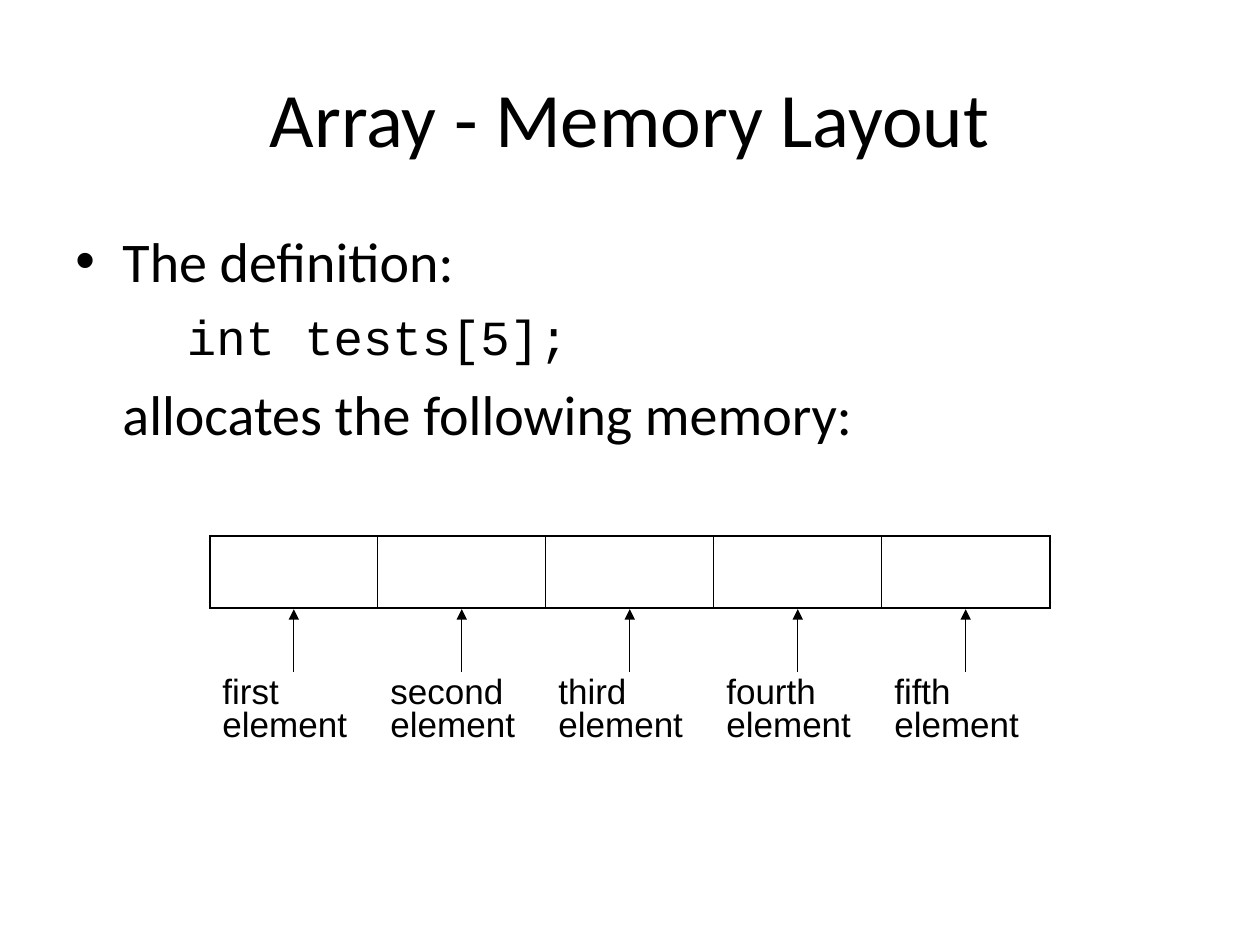
"""Build a slide that shows the memory layout of an array."""
from dataclasses import dataclass

import lxml.etree
import pptx
import pptx.dml.color
import pptx.enum.shapes
import pptx.enum.text
import pptx.oxml.ns
import pptx.slide
import pptx.table
import pptx.text.text
import pptx.util

Cm = pptx.util.Cm
Pt = pptx.util.Pt
Tag = pptx.oxml.ns.qn


@dataclass(frozen=True)
class Theme:
    ink: str = "000000"
    sans: str = "Calibri"
    mono: str = "Courier New"
    label: str = "Arial"
    head_size: int = 44
    body_size: int = 32
    code_size: int = 28
    label_size: int = 20
    thin: float = 0.45
    thick: float = 1.08
    arrow: float = 0.75


@dataclass(frozen=True)
class Line:
    text: str
    font: str
    size: int
    left: float
    hang: float = 0
    before: int = 0
    bullet: str = ""
    center: bool = False


@dataclass(frozen=True)
class Box:
    left: float
    top: float
    width: float
    height: float


THEME = Theme()
NAMES = ("first", "second", "third", "fourth", "fifth")
HEAD = Box(1.27, 0.76, 22.86, 3.18)
BODY = Box(1.27, 4.45, 22.86, 12.57)
CELLS = Box(4.23, 10.8, 16.93, 1.45)
LABELS = Box(4.23, 13.54, 16.93, 2.33)
ARROW_TOP = 12.28

TITLE = [Line("Array - Memory Layout", THEME.sans, THEME.head_size, 0, center=True)]
LINES = [
    Line("The definition:", THEME.sans, THEME.body_size, 0.95, -0.95, 8, "•"),
    Line("int tests[5];", THEME.mono, THEME.code_size, 2.25, before=7),
    Line("allocates the following memory:", THEME.sans, THEME.body_size, 0.95, before=8),
]


def set_font(para: pptx.text.text._Paragraph, name: str, size: int) -> None:
    """Set the font of a whole paragraph."""
    para.font.name = name
    para.font.size = Pt(size)
    para.font.color.rgb = pptx.dml.color.RGBColor.from_string(THEME.ink)


def add_text(slide: pptx.slide.Slide, box: Box, lines: list[Line], middle: bool = False) -> None:
    """Add a text box with one paragraph per line."""
    frame = slide.shapes.add_textbox(
        Cm(box.left), Cm(box.top), Cm(box.width), Cm(box.height)
    ).text_frame
    frame.word_wrap = True
    anchor = pptx.enum.text.MSO_ANCHOR
    frame.vertical_anchor = anchor.MIDDLE if middle else anchor.TOP
    for index, line in enumerate(lines):
        para = frame.add_paragraph() if index else frame.paragraphs[0]
        para.text = line.text
        para.space_before = Pt(line.before)
        if line.center:
            para.alignment = pptx.enum.text.PP_ALIGN.CENTER
        props = para._p.get_or_add_pPr()
        props.set("marL", str(Cm(line.left)))
        props.set("indent", str(Cm(line.hang)))
        if line.bullet:
            lxml.etree.SubElement(props, Tag("a:buFont"), typeface=THEME.label)
            lxml.etree.SubElement(props, Tag("a:buChar"), char=line.bullet)
        set_font(para, line.font, line.size)


def set_edge(cell: pptx.table._Cell, side: str, width: float) -> None:
    """Draw one cell edge, or clear it when the width is zero."""
    props = cell._tc.get_or_add_tcPr()
    edge = lxml.etree.SubElement(props, Tag(f"a:ln{side}"), w=str(Pt(width)))
    if width:
        fill = lxml.etree.SubElement(edge, Tag("a:solidFill"))
        lxml.etree.SubElement(fill, Tag("a:srgbClr"), val=THEME.ink)
    else:
        lxml.etree.SubElement(edge, Tag("a:noFill"))


def add_row(slide: pptx.slide.Slide, box: Box, ruled: bool) -> list[pptx.table._Cell]:
    """Add a table of one row and return its cells."""
    count = len(NAMES)
    table = slide.shapes.add_table(
        1, count, Cm(box.left), Cm(box.top), Cm(box.width), Cm(box.height)
    ).table
    table.first_row = table.horz_banding = False
    cells = list(table.iter_cells())
    for index, cell in enumerate(cells):
        edges = {
            "L": THEME.thin if index else THEME.thick,
            "R": THEME.thin if index < count - 1 else THEME.thick,
            "T": THEME.thick,
            "B": THEME.thick,
        }
        for side, width in edges.items():
            set_edge(cell, side, width if ruled else 0)
        cell.fill.background()
    return cells


def add_label(cell: pptx.table._Cell, name: str) -> None:
    """Write the label of one element."""
    cell.text = f"{name} element"
    para = cell.text_frame.paragraphs[0]
    para.line_spacing = 0.85
    para.space_before = Pt(5)
    set_font(para, THEME.label, THEME.label_size)


def add_arrow(slide: pptx.slide.Slide, left: float) -> None:
    """Add an arrow from a label up to its cell."""
    arrow = slide.shapes.add_connector(
        pptx.enum.shapes.MSO_CONNECTOR.STRAIGHT,
        Cm(left), Cm(LABELS.top), Cm(left), Cm(ARROW_TOP),
    )
    arrow.line.width = Pt(THEME.arrow)
    arrow.line.color.rgb = pptx.dml.color.RGBColor.from_string(THEME.ink)
    lxml.etree.SubElement(arrow.line._get_or_add_ln(), Tag("a:tailEnd"), type="triangle")
    lxml.etree.SubElement(arrow._element.spPr, Tag("a:effectLst"))


def main() -> None:
    """Build and save the slide."""
    deck = pptx.Presentation()
    deck.slide_width, deck.slide_height = Cm(25.4), Cm(19.05)
    slide = deck.slides.add_slide(deck.slide_layouts[6])
    add_text(slide, HEAD, TITLE, middle=True)
    add_text(slide, BODY, LINES)
    add_row(slide, CELLS, ruled=True)
    step = CELLS.width / len(NAMES)
    labels = add_row(slide, LABELS, ruled=False)
    for index, (cell, name) in enumerate(zip(labels, NAMES)):
        add_label(cell, name)
        add_arrow(slide, CELLS.left + (index + 0.5) * step)
    deck.save("out.pptx")


if __name__ == "__main__":
    main()
